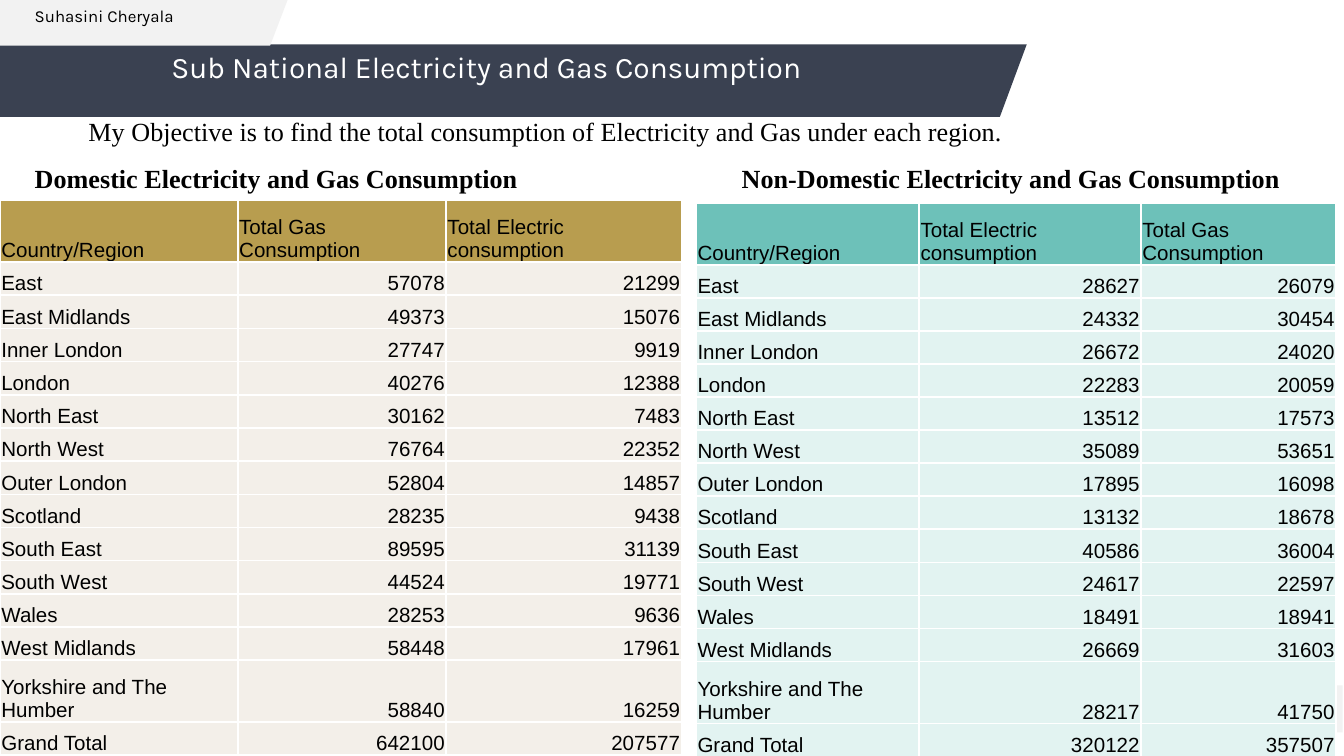
from dataclasses import dataclass

from lxml import etree
from pptx import Presentation
from pptx.dml.color import RGBColor
from pptx.enum import shapes, text
from pptx.oxml import ns
from pptx.util import Inches, Pt

HUES = {
    "ink": "000000", "white": "FFFFFF", "navy": "3A4151", "pale": "F2F2F2",
    "gold": "B89D4F", "sand": "F3EFE9", "teal": "6DC1B9", "mint": "E2F3F1",
}
SERIF = "Times New Roman"
TALL = 0.46  # height of a two-line row


@dataclass
class Label:
    words: str
    box: tuple
    size: float
    face: str
    hue: str = "ink"
    bold: bool = False
    inset: float = 0.05
    centre: bool = False
    line: float = 1.0


@dataclass
class Grid:
    left: float
    top: float
    total: float
    cols: tuple
    heads: tuple
    data: tuple
    head: str
    body: str


LABELS = [
    Label("Sub National Electricity and Gas Consumption", (0.15, 0.35, 6.94, 0.33),
          16, "Karla", "white", centre=True, line=0.9),
    Label("My Objective is to find the total consumption of Electricity and Gas "
          "under each region.", (0.56, 0.76, 9.25, 0.39), 14, SERIF, inset=0.1),
    Label("Suhasini Cheryala", (0.16, 0.01, 1.66, 0.24), 9, "Karla", line=0.9),
    Label("Domestic Electricity and Gas Consumption", (0.16, 1.16, 4.49, 0.34),
          14, SERIF, bold=True),
    Label("Non-Domestic Electricity and Gas Consumption", (5.42, 1.16, 4.58, 0.34),
          14, SERIF, bold=True),
]

AREAS = ("East", "East Midlands", "Inner London", "London", "North East",
         "North West", "Outer London", "Scotland", "South East", "South West",
         "Wales", "West Midlands", "Yorkshire and The Humber", "Grand Total")
GAS, POWER = "Total Gas Consumption", "Total Electric consumption"

GRIDS = [
    Grid(5.18, 1.51, 4.12, (1.66, 1.65, 1.45), (POWER, GAS), (
        (28627, 24332, 26672, 22283, 13512, 35089, 17895, 13132, 40586, 24617,
         18491, 26669, 28217, 320122),
        (26079, 30454, 24020, 20059, 17573, 53651, 16098, 18678, 36004, 22597,
         18941, 31603, 41750, 357507)), "teal", "mint"),
    Grid(0, 1.49, 4.13, (1.77, 1.55, 1.75), (GAS, POWER), (
        (57078, 49373, 27747, 40276, 30162, 76764, 52804, 28235, 89595, 44524,
         28253, 58448, 58840, 642100),
        (21299, 15076, 9919, 12388, 7483, 22352, 14857, 9438, 31139, 19771,
         9636, 17961, 16259, 207577)), "gold", "sand"),
]


def color(name: str) -> RGBColor:
    return RGBColor.from_string(HUES[name])


def paint(shape, hue: str) -> None:
    shape.shadow.inherit = False
    shape.fill.solid()
    shape.fill.fore_color.rgb = color(hue)
    shape.line.fill.background()


def style(para, size: float, face: str, hue: str, bold: bool) -> None:
    font = para.font
    font.size, font.name, font.bold = Pt(size), face, bold
    font.color.rgb = color(hue)


def band(slide, top: float, base: float, wide: float, slim: float, hue: str) -> None:
    pen = slide.shapes.build_freeform(0, Inches(top))
    pen.add_line_segments([(Inches(x), Inches(y)) for x, y in
                           ((wide, top), (slim, base), (0, base))])
    paint(pen.convert_to_shape(), hue)


def write(slide, label: Label) -> None:
    frame = slide.shapes.add_textbox(*map(Inches, label.box)).text_frame
    frame.word_wrap = True
    frame.margin_left = frame.margin_right = Inches(0.1)
    frame.margin_top = frame.margin_bottom = Inches(label.inset)
    para = frame.paragraphs[0]
    para.text = label.words
    para.line_spacing = label.line
    if label.centre:
        frame.vertical_anchor = text.MSO_ANCHOR.MIDDLE
        para.alignment = text.PP_ALIGN.CENTER
    style(para, label.size, label.face, label.hue, label.bold)


def edge(cell) -> None:
    props = cell._tc.get_or_add_tcPr()
    for spot, side in enumerate(("lnL", "lnR", "lnT", "lnB")):
        line = etree.Element(ns.qn(f"a:{side}"), w=str(Pt(1)))
        fill = etree.SubElement(line, ns.qn("a:solidFill"))
        etree.SubElement(fill, ns.qn("a:srgbClr"), val=HUES["white"])
        props.insert(spot, line)


def tabulate(slide, grid: Grid) -> None:
    rows = [("Country/Region", *grid.heads), *zip(AREAS, *grid.data)]
    frame = slide.shapes.add_table(
        len(rows), len(grid.cols), Inches(grid.left), Inches(grid.top),
        Inches(sum(grid.cols)), Inches(grid.total))
    table = frame.table
    table.first_row = table.horz_banding = False
    for col, width in zip(table.columns, grid.cols):
        col.width = Inches(width)
    tall = (0, len(rows) - 2)
    short = (grid.total - len(tall) * TALL) / (len(rows) - len(tall))
    for r, row in enumerate(rows):
        table.rows[r].height = Inches(TALL if r in tall else short)
        for c, value in enumerate(row):
            cell = table.cell(r, c)
            cell.margin_left = cell.margin_right = cell.margin_top = Inches(0.01)
            cell.margin_bottom = 0
            cell.vertical_anchor = text.MSO_ANCHOR.BOTTOM
            cell.fill.solid()
            cell.fill.fore_color.rgb = color(grid.body if r else grid.head)
            edge(cell)
            para = cell.text_frame.paragraphs[0]
            para.text = str(value)
            if r and c:
                para.alignment = text.PP_ALIGN.RIGHT
            style(para, 11, "Arial", "ink", False)


def main() -> None:
    deck = Presentation()
    deck.slide_width = Inches(10)
    deck.slide_height = deck.slide_width * 9 // 16
    slide = deck.slides.add_slide(deck.slide_layouts[6])

    # Slanted title band, name tab and corner block
    band(slide, 0.33, 0.87, 7.64, 7.44, "navy")
    band(slide, 0, 0.34, 2.14, 2.01, "pale")
    block = slide.shapes.add_shape(
        shapes.MSO_SHAPE.RECTANGLE, *map(Inches, (9.66, 5.1, 0.33, 0.35)))
    paint(block, "pale")

    # Headings
    for label in LABELS:
        write(slide, label)

    # Regional tables
    for grid in GRIDS:
        tabulate(slide, grid)

    deck.save("out.pptx")


if __name__ == "__main__":
    main()
